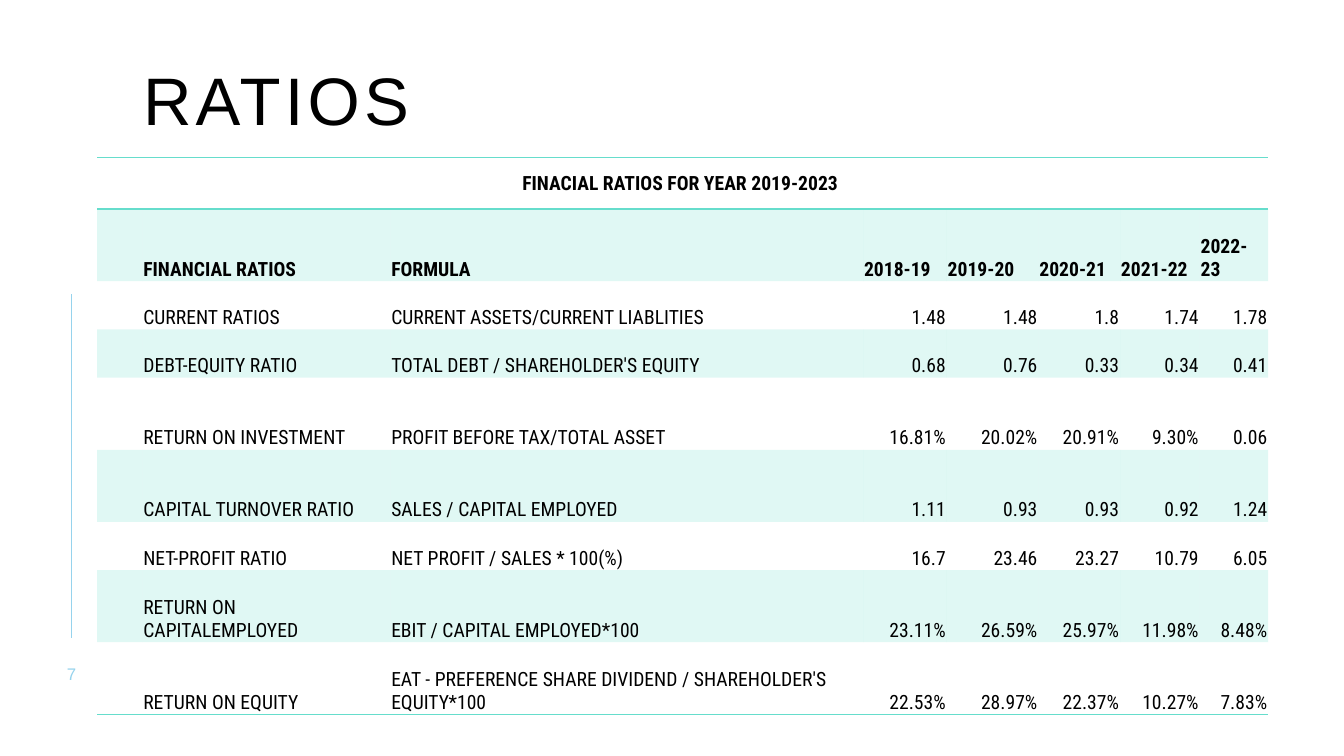
from pptx import Presentation
from pptx.dml.color import RGBColor as RGB
from pptx.enum.shapes import MSO_CONNECTOR as Conn
from pptx.enum.text import MSO_ANCHOR as Anchor, PP_ALIGN as Align
from pptx.util import Pt
from pptx.oxml.ns import qn
from lxml.etree import SubElement as Sub

BLACK = RGB(0, 0, 0)
TEAL = RGB(0x66, 0xDD, 0xCC)
BLUE = RGB(0x96, 0xD3, 0xED)

WIDTHS = [32.4, 177.1, 337.7, 59.8, 65.5, 58.3, 56.9, 49]
TALL, SHORT = 51.5, 34.5
ROWS = [
    (TALL, ["FINANCIAL RATIOS", "FORMULA", "2018-19", "2019-20", "2020-21", "2021-22", "2022-23"]),
    (SHORT, ["CURRENT RATIOS", "CURRENT ASSETS/CURRENT LIABLITIES", "1.48", "1.48", "1.8", "1.74", "1.78"]),
    (SHORT, ["DEBT-EQUITY RATIO", "TOTAL DEBT / SHAREHOLDER'S EQUITY", "0.68", "0.76", "0.33", "0.34", "0.41"]),
    (TALL, ["RETURN ON INVESTMENT", "PROFIT BEFORE TAX/TOTAL ASSET", "16.81%", "20.02%", "20.91%", "9.30%", "0.06"]),
    (TALL, ["CAPITAL TURNOVER RATIO", "SALES / CAPITAL EMPLOYED", "1.11", "0.93", "0.93", "0.92", "1.24"]),
    (SHORT, ["NET-PROFIT RATIO", "NET PROFIT / SALES * 100(%)", "16.7", "23.46", "23.27", "10.79", "6.05"]),
    (TALL, ["RETURN ON CAPITALEMPLOYED", "EBIT / CAPITAL EMPLOYED*100", "23.11%", "26.59%", "25.97%", "11.98%", "8.48%"]),
    (TALL, ["RETURN ON EQUITY", "EAT - PREFERENCE SHARE DIVIDEND / SHAREHOLDER'S EQUITY*100",
            "22.53%", "28.97%", "22.37%", "10.27%", "7.83%"]),
]


def write(frame, text, size, font, color, align, bold=False):
    para = frame.paragraphs[0]
    para.alignment = align
    run = para.add_run()
    run.text = text
    run.font.size = Pt(size)
    run.font.name = font
    run.font.bold = bold
    run.font.color.rgb = color
    return run


def border(cell, *sides):
    props = cell._tc.get_or_add_tcPr()
    for spot, side in enumerate(sides):
        line = Sub(props, qn("a:" + side), w=str(Pt(1)))
        fill = Sub(line, qn("a:solidFill"))
        Sub(fill, qn("a:srgbClr"), val=str(TEAL))
        props.insert(spot, line)


deck = Presentation()
deck.slide_width, deck.slide_height = Pt(960), Pt(540)
slide = deck.slides.add_slide(deck.slide_layouts[6])

rule = slide.shapes.add_connector(Conn.STRAIGHT, Pt(51.1), Pt(210.2), Pt(51.1), Pt(455.8))
rule.line.color.rgb = BLUE
rule.line.width = Pt(1)
Sub(rule._element.spPr, qn("a:effectLst"))

LABELS = [
    ("RATIOS", (102.2, 48.2, 792, 72), 48, BLACK, Align.LEFT, Anchor.TOP, 300),
    ("7", (33.1, 473.8, 36, 14.4), 12, BLUE, Align.CENTER, Anchor.MIDDLE, 200),
]
for text, place, size, color, align, anchor, gap in LABELS:
    frame = slide.shapes.add_textbox(*map(Pt, place)).text_frame
    frame.word_wrap = True
    frame.vertical_anchor = anchor
    frame.margin_left = frame.margin_right = frame.margin_top = frame.margin_bottom = 0
    run = write(frame, text, size, "Arial", color, align)
    run.font._element.set("spc", str(gap))
    if text == "RATIOS":
        frame.paragraphs[0].line_spacing = 0.9

high = 37
total = high + sum(row[0] for row in ROWS)
table = slide.shapes.add_table(len(ROWS) + 1, len(WIDTHS), Pt(69.3), Pt(112.3),
                               Pt(sum(WIDTHS)), Pt(total)).table
table.first_row = table.horz_banding = False
table._tbl.tblPr.find(qn("a:tableStyleId")).text = "{2D5ABB26-0587-4C30-8999-92F81FD0307C}"
for col, width in zip(table.columns, WIDTHS):
    col.width = Pt(width)
for row, (tall, words) in zip(table.rows, [(high, [])] + ROWS):
    row.height = Pt(tall)

for cell in table.iter_cells():
    cell.margin_left = cell.margin_right = cell.margin_top = Pt(0.7)
    cell.margin_bottom = 0
    cell.vertical_anchor = Anchor.BOTTOM

head = table.cell(0, 0)
head.merge(table.cell(0, len(WIDTHS) - 1))
head.vertical_anchor = Anchor.MIDDLE
write(head.text_frame, "FINACIAL RATIOS FOR YEAR 2019-2023 ", 14, "Roboto Condensed", BLACK, Align.CENTER, True)
for x in range(len(WIDTHS)):
    border(table.cell(0, x), "lnT", "lnB")

for y, (tall, words) in enumerate(ROWS, 1):
    for x, word in enumerate([""] + words):
        cell = table.cell(y, x)
        if y % 2:
            cell.fill.solid()
            cell.fill.fore_color.rgb = TEAL
            tint = cell._tc.tcPr.find(".//" + qn("a:srgbClr"))
            Sub(tint, qn("a:alpha"), val="20000")
        else:
            cell.fill.background()
        if y == len(ROWS):
            border(cell, "lnB")
        if word:
            align = Align.RIGHT if x > 2 and y > 1 else Align.LEFT
            write(cell.text_frame, word, 14, "Roboto Condensed", BLACK, align, y == 1)

deck.save("out.pptx")
